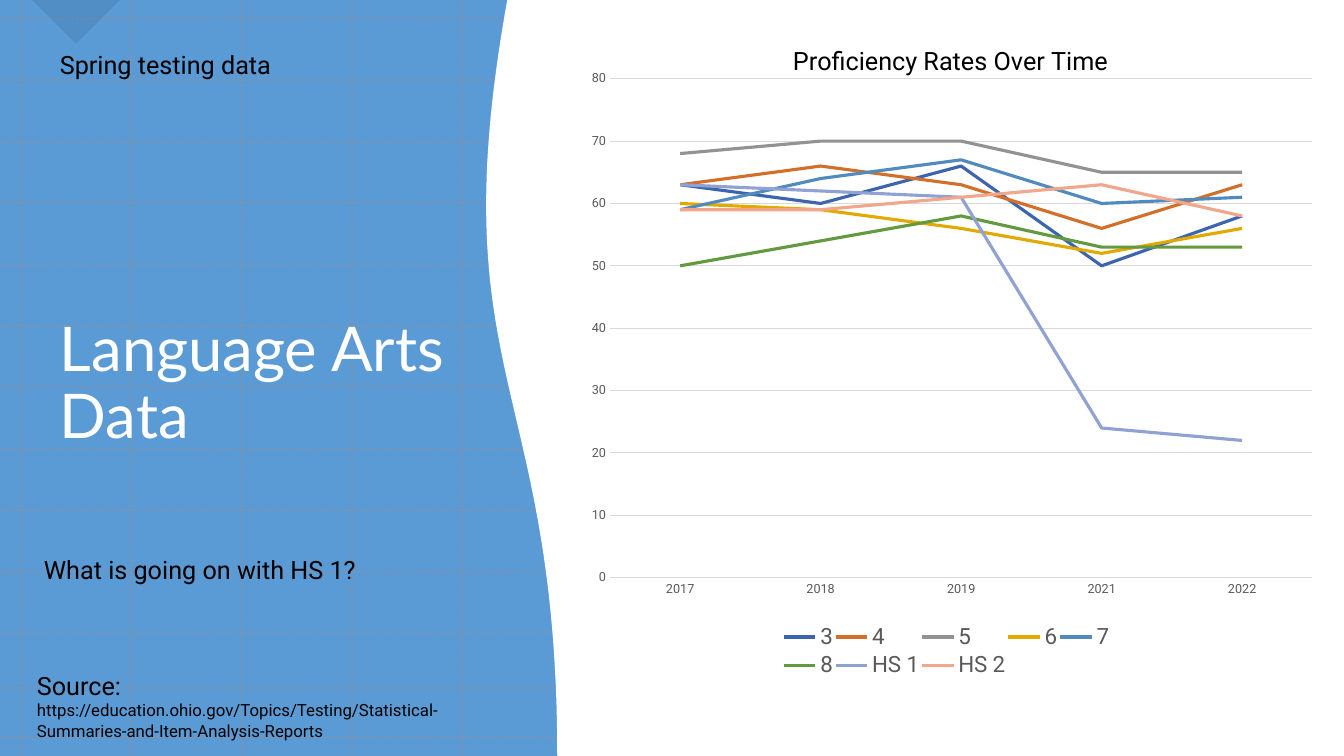
from lxml.etree import SubElement
from pptx import Presentation
from pptx.chart.data import CategoryChartData
from pptx.dml.color import RGBColor
from pptx.enum.chart import XL_CHART_TYPE as ChartType, XL_LEGEND_POSITION as LegendPosition, XL_TICK_MARK as TickMark
from pptx.enum.dml import MSO_LINE_DASH_STYLE as Dash
from pptx.enum.shapes import MSO_CONNECTOR as Connector, MSO_SHAPE as Shape
from pptx.enum.text import MSO_ANCHOR as Anchor
from pptx.oxml import parse_xml
from pptx.oxml.ns import nsdecls, qn
from pptx.util import Pt

PX = 9071
WIDTH, HEIGHT = 1344, 756
COLORS = {
    "blue": "5B9BD5", "navy": "1F4E79", "orange": "ED7D31", "white": "FFFFFF",
    "black": "000000", "gray": "595959", "rule": "D9D9D9",
}
TEXTS = [
    {"box": (50, 80, 411, 610), "runs": [("Language Arts Data", 44)],
     "font": "Lato", "color": "white", "anchor": Anchor.MIDDLE, "spacing": 0.9},
    {"box": (34, 549, 429, 40), "runs": [("What is going on with HS 1?", 18)]},
    {"box": (50, 44, 374, 40), "runs": [("Spring testing data", 18)]},
    {"box": (27, 665, 450, 82), "runs": [
        ("Source: ", 18),
        ("https://education.ohio.gov/Topics/Testing/Statistical-Summaries-and-Item-Analysis-Reports", 12)]},
]
TITLE = "Proficiency Rates Over Time"
YEARS = ["2017", "2018", "2019", "2021", "2022"]
GRADES = [
    ("3", "3C65AE", (63, 60, 66, 50, 58)),
    ("4", "D26F2B", (63, 66, 63, 56, 63)),
    ("5", "929292", (68, 70, 70, 65, 65)),
    ("6", "E2AA00", (60, 59, 56, 52, 56)),
    ("7", "518ABD", (59, 64, 67, 60, 61)),
    ("8", "639A3F", (50, 54, 58, 53, 53)),
    ("HS 1", "90A2D3", (63, 62, 61, 24, 22)),
    ("HS 2", "F1A78B", (59, 59, 61, 63, 58)),
]
CHART_BOX = (570, 20, 753, 668)
PLOT_LAYOUT = {"x": 0.053, "y": 0.088, "w": 0.933, "h": 0.747}
LEGEND_LAYOUT = {"x": 0.28, "y": 0.9, "w": 0.44, "h": 0.09}
TITLE_LAYOUT = {"x": 0.29, "y": 0.03}
CURVE = [(558, 756), (558, 379), (440, 377), (508, 0)]
CURVE_STEPS = 60
GRID_COLUMNS = [round(21 + 110.2 * i) for i in range(5)]
GRID_ROWS = [round(19 + 61.4 * i) for i in range(11)] + [688, 737]


def emu(*lengths):
    return [length * PX for length in lengths]


def rgb(name):
    return RGBColor.from_string(COLORS.get(name, name))


def set_alpha(element, percent):
    color = next(element.iter(qn("a:srgbClr")))
    SubElement(color, qn("a:alpha")).set("val", str(percent * 1000))


def paint(shape, color, line=None):
    shape.shadow.inherit = False
    shape.fill.solid()
    shape.fill.fore_color.rgb = rgb(color)
    if line:
        shape.line.color.rgb = rgb(line)
        shape.line.width = Pt(1)
    else:
        shape.line.fill.background()


def add_grid_line(slide, *ends):
    line = slide.shapes.add_connector(Connector.STRAIGHT, *emu(*ends))
    line.line.color.rgb = rgb("orange")
    line.line.width = Pt(1.5)
    line.line.dash_style = Dash.ROUND_DOT
    properties = line._element.spPr
    set_alpha(properties, 20)
    SubElement(properties, qn("a:effectLst"))


def curve_point(t):
    weights = ((1 - t) ** 3, 3 * t * (1 - t) ** 2, 3 * t ** 2 * (1 - t), t ** 3)
    return tuple(sum(w * p[axis] for w, p in zip(weights, CURVE)) for axis in (0, 1))


def add_white_panel(slide):
    points = [curve_point(i / CURVE_STEPS) for i in range(CURVE_STEPS + 1)]
    builder = slide.shapes.build_freeform(*map(round, emu(*points[0])))
    corners = [(WIDTH, 0), (WIDTH, HEIGHT)]
    builder.add_line_segments([tuple(map(round, emu(*p))) for p in points[1:] + corners])
    paint(builder.convert_to_shape(), "white", "white")


def style_font(font, size, color, name="Roboto"):
    for key, value in {"size": Pt(size), "name": name, "bold": False}.items():
        setattr(font, key, value)
    font.color.rgb = rgb(color)


def add_text(slide, text):
    frame = slide.shapes.add_textbox(*emu(*text["box"])).text_frame
    frame.word_wrap = True
    frame.vertical_anchor = text.get("anchor", Anchor.TOP)
    paragraph = frame.paragraphs[0]
    paragraph.line_spacing = text.get("spacing", 1.0)
    for words, size in text["runs"]:
        run = paragraph.add_run()
        run.text = words
        style_font(run.font, size, text.get("color", "black"), text.get("font", "Roboto"))


def place(element, layout, before, inner=False):
    for old in element.findall(qn("c:layout")):
        element.remove(old)
    parts = ['<c:layoutTarget val="inner"/>'] if inner else []
    parts += [f'<c:{key}Mode val="edge"/>' for key in ("x", "y")]
    parts += [f'<c:{key} val="{value}"/>' for key, value in layout.items()]
    node = parse_xml(f'<c:layout {nsdecls("c")}><c:manualLayout>{"".join(parts)}</c:manualLayout></c:layout>')
    element.find(qn(before)).addprevious(node)


def add_rates_chart(slide):
    data = CategoryChartData()
    data.categories = YEARS
    for name, color, values in GRADES:
        data.add_series(name, values)
    chart = slide.shapes.add_chart(ChartType.LINE, *emu(*CHART_BOX), data).chart
    style_font(chart.font, 10, "black")

    chart.has_title = True
    frame = chart.chart_title.text_frame
    frame.text = TITLE
    style_font(frame.paragraphs[0].runs[0].font, 18, "black")
    chart.chart_title.include_in_layout = False

    chart.has_legend = True
    chart.legend.position = LegendPosition.BOTTOM
    chart.legend.include_in_layout = False
    style_font(chart.legend.font, 16, "gray")

    for axis in (chart.category_axis, chart.value_axis):
        axis.major_tick_mark = axis.minor_tick_mark = TickMark.NONE
        style_font(axis.tick_labels.font, 9, "gray")
    values_axis = chart.value_axis
    for key, value in {"minimum_scale": 0, "maximum_scale": 80, "major_unit": 10}.items():
        setattr(values_axis, key, value)
    values_axis.format.line.fill.background()
    for rule in (chart.category_axis.format.line, values_axis.major_gridlines.format.line):
        rule.color.rgb = rgb("rule")
        rule.width = Pt(0.75)

    plot = chart.plots[0]
    plot.vary_by_categories = False
    for series, (name, color, values) in zip(plot.series, GRADES):
        series.smooth = False
        series.format.line.color.rgb = rgb(color)
        series.format.line.width = Pt(2.25)

    place(chart.chart_title._element, TITLE_LAYOUT, "c:overlay")
    place(chart.legend._element, LEGEND_LAYOUT, "c:overlay")
    place(chart._chartSpace.chart.plotArea, PLOT_LAYOUT, "c:lineChart", inner=True)


def main():
    presentation = Presentation()
    presentation.slide_width, presentation.slide_height = emu(WIDTH, HEIGHT)
    slide = presentation.slides.add_slide(presentation.slide_layouts[6])

    backdrop = slide.shapes.add_shape(Shape.RECTANGLE, *emu(0, 0, WIDTH, HEIGHT))
    paint(backdrop, "blue")
    notch = slide.shapes.add_shape(Shape.RIGHT_TRIANGLE, *emu(45, -31, 62, 62))
    notch.rotation = 315
    paint(notch, "navy")
    set_alpha(notch._element.spPr, 17)

    for x in GRID_COLUMNS:
        add_grid_line(slide, x, 0, x, HEIGHT)
    for y in GRID_ROWS:
        add_grid_line(slide, 0, y, WIDTH, y)
    add_white_panel(slide)
    add_rates_chart(slide)
    for text in TEXTS:
        add_text(slide, text)
    presentation.save("out.pptx")


if __name__ == "__main__":
    main()
